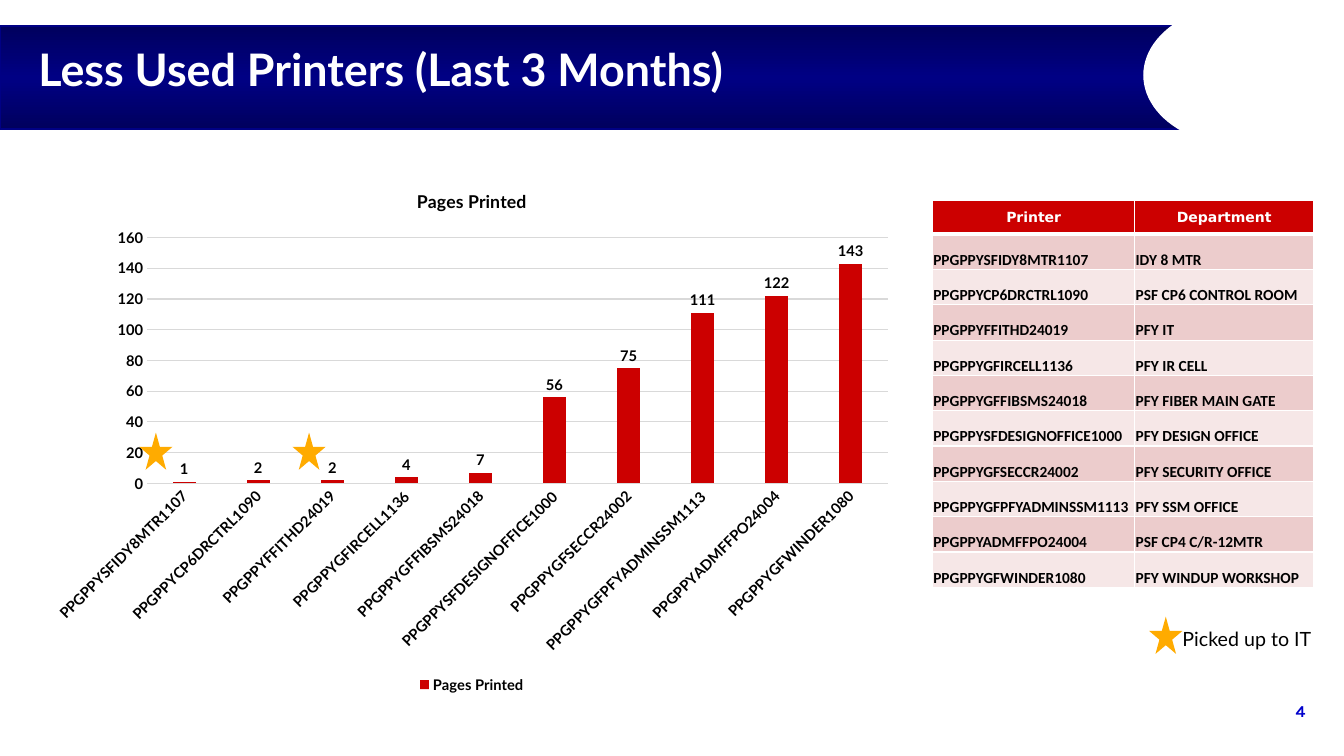
from copy import deepcopy

from pptx import Presentation
from pptx.chart.data import CategoryChartData
from pptx.dml.color import RGBColor
from pptx.enum.chart import (XL_CHART_TYPE as Kind, XL_LABEL_POSITION as Spot,
                             XL_LEGEND_POSITION as Side, XL_TICK_MARK as Tick)
from pptx.enum.shapes import MSO_SHAPE as Form
from pptx.enum.text import MSO_ANCHOR as Anchor, MSO_AUTO_SIZE as Auto, PP_ALIGN as Align
from pptx.oxml import parse_xml
from pptx.oxml.ns import nsdecls
from pptx.util import Cm, Pt

PRINTERS = [
    ("PPGPPYSFIDY8MTR1107", "IDY 8 MTR", 1),
    ("PPGPPYCP6DRCTRL1090", "PSF CP6 CONTROL ROOM", 2),
    ("PPGPPYFFITHD24019", "PFY IT", 2),
    ("PPGPPYGFIRCELL1136", "PFY IR CELL", 4),
    ("PPGPPYGFFIBSMS24018", "PFY FIBER MAIN GATE", 7),
    ("PPGPPYSFDESIGNOFFICE1000", "PFY DESIGN OFFICE", 56),
    ("PPGPPYGFSECCR24002", "PFY SECURITY OFFICE", 75),
    ("PPGPPYGFPFYADMINSSM1113", "PFY SSM OFFICE", 111),
    ("PPGPPYADMFFPO24004", "PSF CP4 C/R-12MTR", 122),
    ("PPGPPYGFWINDER1080", "PFY WINDUP WORKSHOP", 143),
]
WHITE, BLACK, NAVY, RED = "FFFFFF", "000000", "000084", "CC0000"
GOLD, GREY = "FFAB00", "D9D9D9"


def color(code):
    return RGBColor.from_string(code)


def paint(fill, code):
    fill.solid()
    fill.fore_color.rgb = color(code)


def style(font, size, code=BLACK, bold=True, name="Lato"):
    font.size, font.bold, font.name = Pt(size), bold, name
    font.color.rgb = color(code)


def stroke(line, code, width):
    line.color.rgb = color(code)
    line.width = Pt(width)


def add_form(slide, form, box, fill, edge=None, width=1):
    shape = slide.shapes.add_shape(form, *map(Cm, box))
    shape.shadow.inherit = False
    paint(shape.fill, fill)
    if edge:
        stroke(shape.line, edge, width)
    else:
        shape.line.fill.background()
    return shape


def add_star(slide, left, top):
    add_form(slide, Form.STAR_5_POINT, (left, top, 0.84, 0.94), GOLD)


def add_text(slide, box, text, size, code, bold, name, inset=0.25):
    frame = slide.shapes.add_textbox(*map(Cm, box)).text_frame
    frame.word_wrap = True
    frame.margin_left = frame.margin_right = Cm(inset)
    frame.text = text
    para = frame.paragraphs[0]
    para.alignment = Align.RIGHT
    style(para.runs[0].font, size, code, bold, name)


def add_band(slide):
    band = add_form(slide, Form.RECTANGLE, (0, 0.66, 29.82, 2.59), NAVY, NAVY, 1.5)
    band.fill.gradient()
    band.fill.gradient_angle = 90
    stops = band.element.xpath(".//a:gsLst")[0]
    stops.append(deepcopy(stops[0]))
    shades = [(0, "00005E"), (0.5, NAVY), (1, "00005E")]
    for stop, (place, shade) in zip(band.fill.gradient_stops, shades):
        stop.position = place
        stop.color.rgb = color(shade)
    add_form(slide, Form.OVAL, (28.83, 0.13, 4.95, 3.53), WHITE, WHITE)


def set_title(slide, text):
    title = slide.shapes.title
    title.element.getparent().append(title.element)  # bring above the band
    title.left, title.top, title.width, title.height = map(Cm, (0.97, 0.61, 27.99, 2.24))
    frame = title.text_frame
    frame.text = text
    frame.auto_size = Auto.NONE
    frame.vertical_anchor = Anchor.MIDDLE
    frame.margin_left = frame.margin_right = frame.margin_top = frame.margin_bottom = 0
    para = frame.paragraphs[0]
    para.alignment = Align.LEFT
    style(para.runs[0].font, 32, WHITE)


def add_bars(slide, box):
    data = CategoryChartData()
    data.categories = [name for name, _, _ in PRINTERS]
    data.add_series("Pages Printed", [pages for _, _, pages in PRINTERS])
    chart = slide.shapes.add_chart(Kind.COLUMN_CLUSTERED, *map(Cm, box), data).chart
    style(chart.font, 10.5)

    # Title and legend
    chart.has_title = True
    head = chart.chart_title.text_frame
    head.text = "Pages Printed"
    style(head.paragraphs[0].runs[0].font, 12.6)
    chart.has_legend = True
    chart.legend.position = Side.BOTTOM
    chart.legend.include_in_layout = False
    style(chart.legend.font, 10.5)

    # Axes
    cats, vals = chart.category_axis, chart.value_axis
    for axis in (cats, vals):
        axis.major_tick_mark = axis.minor_tick_mark = Tick.NONE
        style(axis.tick_labels.font, 10.5)
    stroke(cats.format.line, GREY, 0.75)
    for body in cats.tick_labels.font and chart.element.xpath(".//c:catAx/c:txPr/a:bodyPr"):
        body.set("rot", "-2700000")
    vals.minimum_scale, vals.maximum_scale, vals.major_unit = 0, 160, 20
    vals.format.line.fill.background()
    stroke(vals.major_gridlines.format.line, GREY, 0.75)

    # Columns
    plot = chart.plots[0]
    plot.gap_width, plot.overlap, plot.vary_by_categories = 219, -27, False
    bars = plot.series[0]
    paint(bars.format.fill, RED)
    tags = bars.data_labels
    tags.show_value = True
    tags.position = Spot.OUTSIDE_END
    style(tags.font, 10.5)


def add_edges(cell, base):
    edges = cell.fill and cell._tc.get_or_add_tcPr()
    for spot, (side, width) in enumerate([("L", 1), ("R", 1), ("T", 1), ("B", base)]):
        edges.insert(spot, parse_xml(
            f'<a:ln{side} {nsdecls("a")} w="{Pt(width)}"><a:solidFill>'
            f'<a:srgbClr val="{WHITE}"/></a:solidFill></a:ln{side}>'))


def add_list(slide, left, top):
    rows = [("Printer", "Department")] + [row[:2] for row in PRINTERS]
    table = slide.shapes.add_table(len(rows), 2, Cm(left), Cm(top), Cm(9.6), Cm(9.74)).table
    table.columns[0].width, table.columns[1].width = Cm(5.1), Cm(4.5)
    for r, row in enumerate(rows):
        first = r == 0
        table.rows[r].height = Cm(0.84 if first else 0.89)
        for c, text in enumerate(row):
            cell = table.cell(r, c)
            cell.text = text
            cell.margin_left = cell.margin_right = cell.margin_top = Cm(0.02)
            cell.margin_bottom = 0
            cell.vertical_anchor = Anchor.MIDDLE if first else Anchor.BOTTOM
            para = cell.text_frame.paragraphs[0]
            para.alignment = Align.CENTER if first else Align.LEFT
            font = para.runs[0].font
            if first:
                style(font, 10, WHITE, name="DejaVu Sans")
            else:
                style(font, 11, name="Calibri")
            paint(cell.fill, RED if first else ("F6E7E7", "ECCCCC")[r % 2])
            add_edges(cell, 3 if first else 1)


def main():
    deck = Presentation()
    deck.slide_width, deck.slide_height = Cm(33.87), Cm(19.05)
    slide = deck.slides.add_slide(deck.slide_layouts[5])

    # Header and page number
    add_band(slide)
    add_text(slide, (30.2, 17.53, 2.7, 0.76), "4", 11.8, "0000CC", True, "Karla", 0)
    set_title(slide, "Less Used Printers (Last 3 Months)")

    # Chart and table
    add_bars(slide, (0.97, 4.27, 21.84, 13.31))
    add_list(slide, 23.5, 5.06)

    # Stars and their key
    add_star(slide, 7.37, 10.9)
    add_text(slide, (28.8, 15.67, 4.5, 0.86), "Picked up to IT", 14, BLACK, False, "Lato")
    add_star(slide, 28.96, 15.54)
    add_star(slide, 3.51, 10.9)

    deck.save("out.pptx")


if __name__ == "__main__":
    main()
